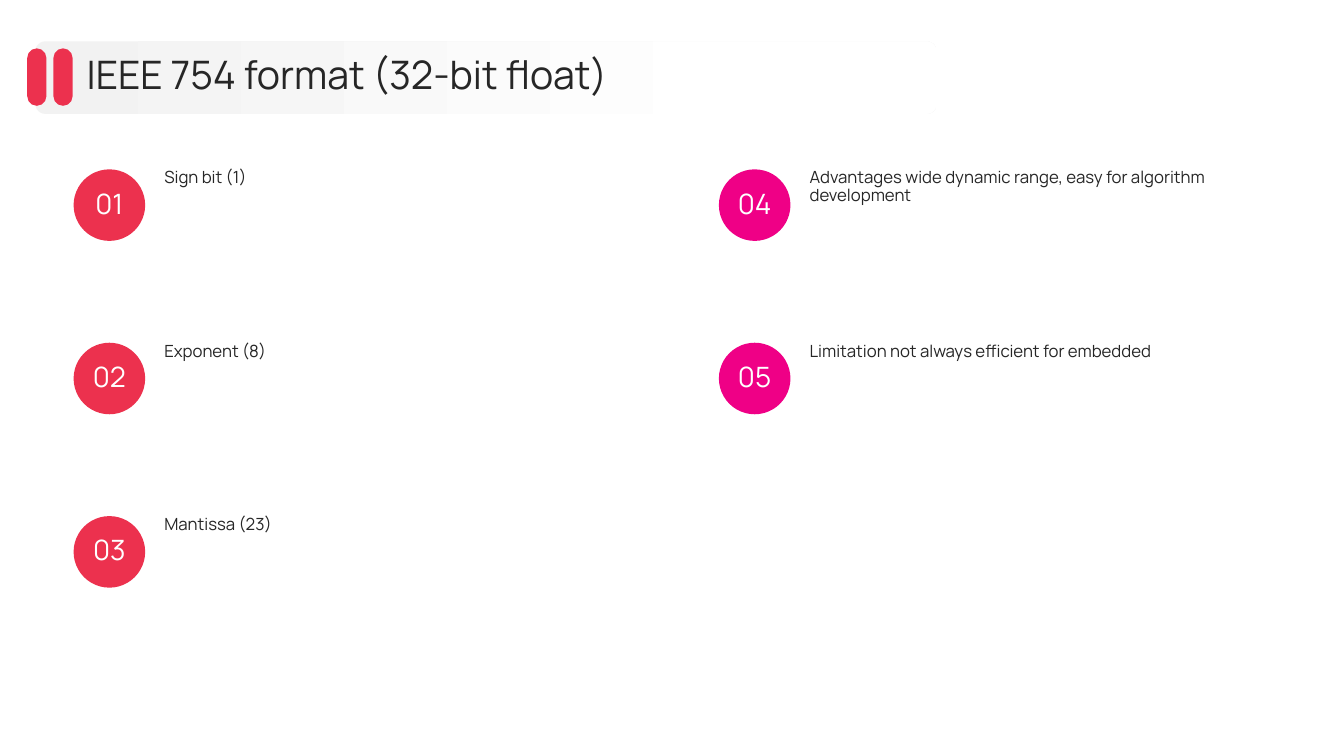
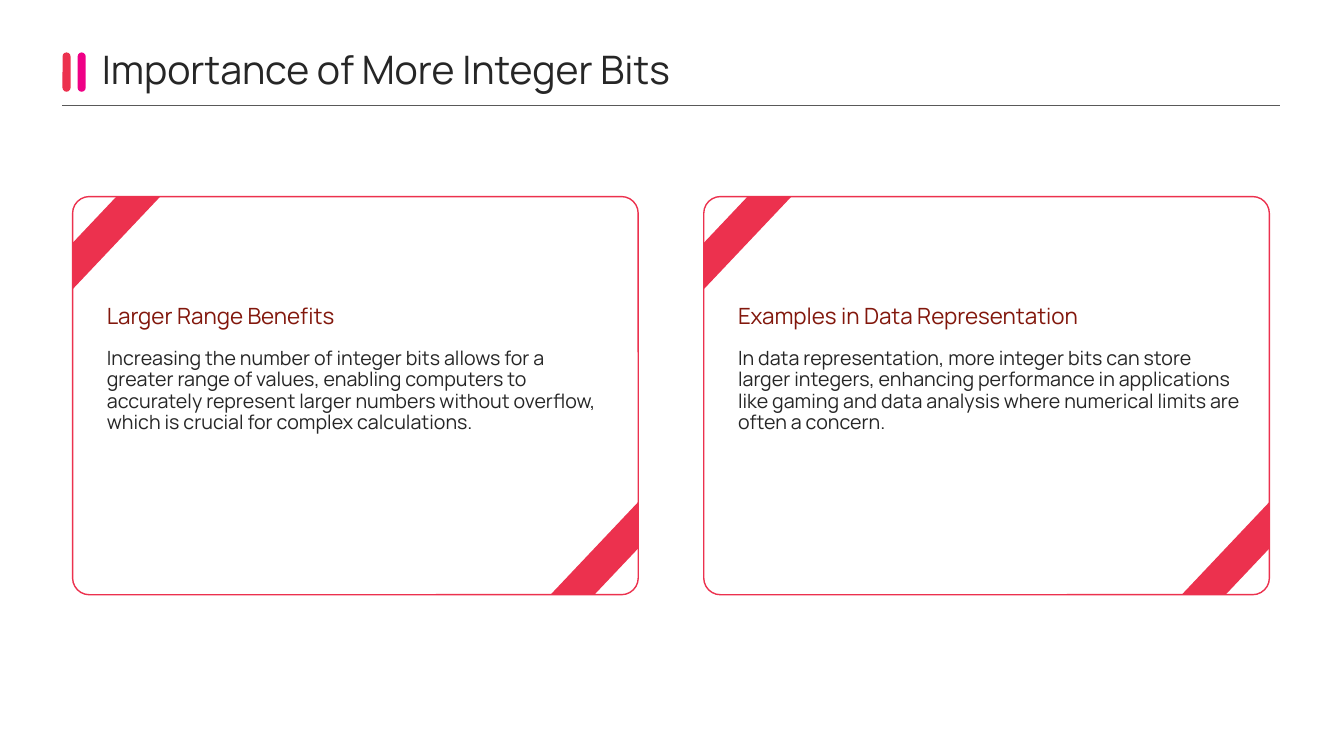
from dataclasses import dataclass

from lxml import etree
from pptx import Presentation
from pptx.dml.color import RGBColor
from pptx.enum.shapes import MSO_CONNECTOR, MSO_SHAPE
from pptx.enum.text import MSO_ANCHOR, MSO_AUTO_SIZE, PP_ALIGN
from pptx.oxml.ns import qn
from pptx.shapes.autoshape import Shape
from pptx.slide import Slide
from pptx.util import Inches, Pt

OVAL = MSO_SHAPE.OVAL
ROUNDED = MSO_SHAPE.ROUNDED_RECTANGLE
STRIPE = MSO_SHAPE.DIAGONAL_STRIPE
STRAIGHT = MSO_CONNECTOR.STRAIGHT
TOP, MIDDLE, BOTTOM = MSO_ANCHOR.TOP, MSO_ANCHOR.MIDDLE, MSO_ANCHOR.BOTTOM
LEFT, CENTER = PP_ALIGN.LEFT, PP_ALIGN.CENTER
NO_AUTOFIT = MSO_AUTO_SIZE.NONE

FONT = "Manrope"
RED = RGBColor(0xEC, 0x31, 0x4E)
PINK = RGBColor(0xEF, 0x00, 0x86)
MAROON = RGBColor(0x82, 0x17, 0x0C)
INK = RGBColor(0x26, 0x26, 0x26)
RULE_GRAY = RGBColor(0x59, 0x59, 0x59)
PALE_GRAY = RGBColor(0xF2, 0xF2, 0xF2)
WHITE = RGBColor(0xFF, 0xFF, 0xFF)

TITLE_ONLY_LAYOUT, COMPARISON_LAYOUT = 5, 4


@dataclass(frozen=True)
class Box:
    left: float
    top: float
    width: float
    height: float


@dataclass(frozen=True)
class TextStyle:
    size: int
    color: RGBColor = INK
    anchor: MSO_ANCHOR = TOP
    align: PP_ALIGN = LEFT


@dataclass(frozen=True)
class Card:
    heading: str
    body: str


TITLE = TextStyle(28, anchor=MIDDLE)
NUMBER = TextStyle(20, WHITE, MIDDLE, CENTER)
ITEM = TextStyle(12)
CARD_HEADING = TextStyle(16, MAROON, BOTTOM)
CARD_BODY = TextStyle(14)

ITEMS = [
    "Sign bit (1)",
    "Exponent (8)",
    "Mantissa (23)",
    "Advantages wide dynamic range, easy for algorithm development",
    "Limitation not always efficient for embedded",
]
CARDS = [
    Card(
        "Larger Range Benefits",
        "Increasing the number of integer bits allows for a greater range of values, "
        "enabling computers to accurately represent larger numbers without overflow, "
        "which is crucial for complex calculations.",
    ),
    Card(
        "Examples in Data Representation",
        "In data representation, more integer bits can store larger integers, "
        "enhancing performance in applications like gaming and data analysis where "
        "numerical limits are often a concern.",
    ),
]


def write_text(shape: Shape, text: str, style: TextStyle) -> None:
    frame = shape.text_frame
    frame.text = text
    frame.word_wrap = True
    frame.auto_size = NO_AUTOFIT
    frame.vertical_anchor = style.anchor
    frame.margin_left = frame.margin_top = frame.margin_right = frame.margin_bottom = 0
    paragraph = frame.paragraphs[0]
    paragraph.alignment = style.align
    paragraph.line_spacing = 0.9
    paragraph.space_before = Pt(0)
    if shape.is_placeholder:
        # Turn off the inherited bullet and hanging indent
        properties = paragraph._p.get_or_add_pPr()
        properties.set("marL", "0")
        properties.set("indent", "0")
        etree.SubElement(properties, qn("a:buNone"))
    paragraph.font.name = FONT
    paragraph.font.size = Pt(style.size)
    paragraph.font.bold = False
    paragraph.font.color.rgb = style.color


def fill_placeholder(slide: Slide, shape: Shape, box: Box, text: str, style: TextStyle) -> None:
    """Place a placeholder in front of the shapes drawn so far."""
    shape.left, shape.top = Inches(box.left), Inches(box.top)
    shape.width, shape.height = Inches(box.width), Inches(box.height)
    write_text(shape, text, style)
    slide.shapes.element.append(shape.element)


def add_text(slide: Slide, box: Box, text: str, style: TextStyle) -> None:
    text_box = slide.shapes.add_textbox(
        Inches(box.left), Inches(box.top), Inches(box.width), Inches(box.height)
    )
    write_text(text_box, text, style)


def add_filled(slide: Slide, kind: MSO_SHAPE, box: Box, color: RGBColor) -> Shape:
    shape = slide.shapes.add_shape(
        kind, Inches(box.left), Inches(box.top), Inches(box.width), Inches(box.height)
    )
    shape.shadow.inherit = False
    shape.fill.solid()
    shape.fill.fore_color.rgb = color
    shape.line.fill.background()
    return shape


def add_title_bars(slide: Slide, first: Box, pitch: float, colors: list[RGBColor]) -> None:
    for index, color in enumerate(colors):
        box = Box(first.left + index * pitch, first.top, first.width, first.height)
        bar = add_filled(slide, ROUNDED, box, color)
        bar.adjustments[0] = 0.5


def add_title_band(slide: Slide) -> None:
    band = add_filled(slide, ROUNDED, Box(0.35, 0.41, 8.94, 0.72), PALE_GRAY)
    band.adjustments[0] = 0.14
    band.fill.gradient()
    band.fill.gradient_angle = 0
    for stop, color, position in zip(band.fill.gradient_stops, (PALE_GRAY, WHITE), (0, 0.8)):
        stop.color.rgb = color
        stop.position = position


def add_title_rule(slide: Slide) -> None:
    rule = slide.shapes.add_connector(
        STRAIGHT, Inches(0.62), Inches(1.05), Inches(12.7), Inches(1.05)
    )
    rule.line.color.rgb = RULE_GRAY
    rule.line.width = Pt(0.5)
    etree.SubElement(rule.element.spPr, qn("a:effectLst"))


def add_numbered_item(slide: Slide, index: int, text: str) -> None:
    column, row = divmod(index, 3)
    left, top = 0.73 + column * 6.4, 1.68 + row * 1.72
    circle = add_filled(slide, OVAL, Box(left, top, 0.71, 0.71), (RED, PINK)[column])
    write_text(circle, f"{index + 1:02d}", NUMBER)
    add_text(slide, Box(left + 0.9, top, 4.57, 1.4), text, ITEM)


def add_card(slide: Slide, index: int, card: Card, heading: Shape, body: Shape) -> None:
    left, top, width, height = 0.72 + index * 6.26, 1.95, 5.61, 3.95
    stripe_width, stripe_height = 0.87, 0.92
    frame = add_filled(slide, ROUNDED, Box(left, top, width, height), WHITE)
    frame.adjustments[0] = 0.042
    frame.line.color.rgb = RED
    frame.line.width = Pt(1)

    # Stripes across two opposite corners
    add_filled(slide, STRIPE, Box(left, top, stripe_width, stripe_height), RED)
    corner = Box(
        left + width - stripe_width, top + height - stripe_height, stripe_width, stripe_height
    )
    add_filled(slide, STRIPE, corner, RED).rotation = 180

    text_left = left + 0.34
    fill_placeholder(slide, heading, Box(text_left, 2.83, 5.02, 0.44), card.heading, CARD_HEADING)
    fill_placeholder(slide, body, Box(text_left, 3.46, 5.02, 1.87), card.body, CARD_BODY)


def build_format_slide(presentation: Presentation) -> None:
    slide = presentation.slides.add_slide(presentation.slide_layouts[TITLE_ONLY_LAYOUT])
    add_title_band(slide)
    fill_placeholder(
        slide, slide.shapes.title, Box(0.86, 0.51, 11.67, 0.51),
        "IEEE 754 format (32-bit float)", TITLE,
    )
    add_title_bars(slide, Box(0.27, 0.48, 0.19, 0.57), 0.26, [RED, RED])
    for index, text in enumerate(ITEMS):
        add_numbered_item(slide, index, text)


def build_integer_bits_slide(presentation: Presentation) -> None:
    slide = presentation.slides.add_slide(presentation.slide_layouts[COMPARISON_LAYOUT])
    title, *card_texts = list(slide.placeholders)
    fill_placeholder(
        slide, title, Box(1.01, 0.46, 10.97, 0.51), "Importance of More Integer Bits", TITLE
    )
    add_title_bars(slide, Box(0.62, 0.52, 0.08, 0.39), 0.15, [RED, PINK])
    add_title_rule(slide)
    for index, card in enumerate(CARDS):
        heading, body = card_texts[2 * index : 2 * index + 2]
        add_card(slide, index, card, heading, body)


def main() -> None:
    presentation = Presentation()
    presentation.slide_width = Inches(13.33)
    presentation.slide_height = Inches(7.5)
    build_format_slide(presentation)
    build_integer_bits_slide(presentation)
    presentation.save("out.pptx")


if __name__ == "__main__":
    main()
